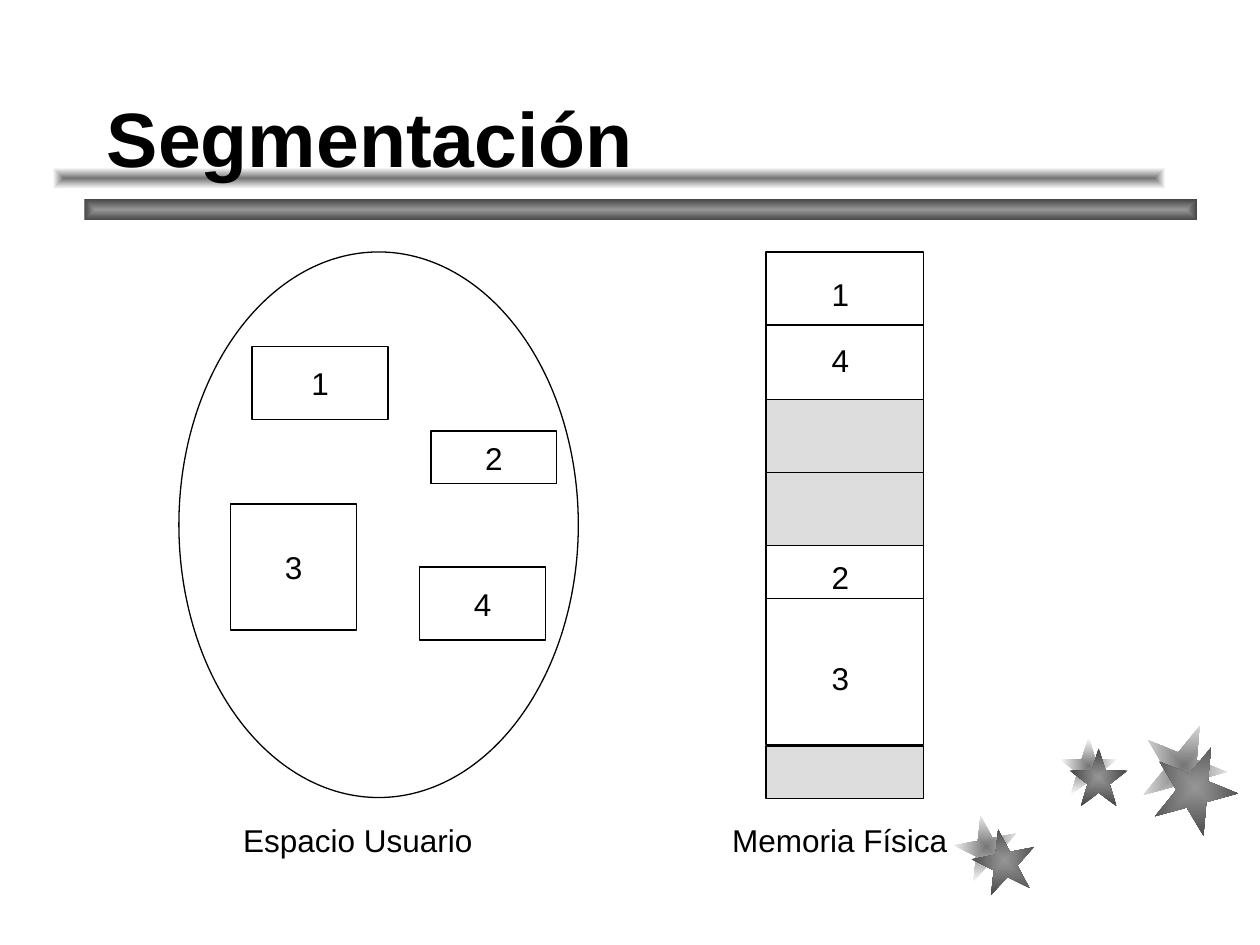
from lxml.etree import SubElement
from pptx import Presentation
from pptx.dml.color import RGBColor
from pptx.enum.shapes import MSO_CONNECTOR, MSO_SHAPE
from pptx.enum.text import MSO_ANCHOR, PP_ALIGN
from pptx.oxml import parse_xml
from pptx.oxml.ns import nsdecls, qn
from pptx.util import Inches, Pt

COLOURS = {"ink": "000000", "paper": "FFFFFF", "free": "DDDDDD"}
GRADIENTS = {"light": ("757575", "FFFFFF"), "dark": ("969696", "454545")}
BODY = {"name": "Arial", "size": Pt(18), "bold": False}
HEADING = {"name": "Arial", "size": Pt(44), "bold": True}


def colour(name):
    """Return the named colour."""
    return RGBColor.from_string(COLOURS[name])


def write(box, text, font=BODY, align=PP_ALIGN.CENTER, anchor=MSO_ANCHOR.MIDDLE, wrap=False):
    """Put formatted text into a shape."""
    frame = box.text_frame
    frame.word_wrap = wrap
    frame.vertical_anchor = anchor
    para = frame.paragraphs[0]
    para.alignment = align
    span = para.add_run()
    span.text = text
    for key, value in font.items():
        setattr(span.font, key, value)
    span.font.color.rgb = colour("ink")


def add_label(page, left, top, width, height, text, **format_values):
    """Add a text box."""
    box = page.shapes.add_textbox(Inches(left), Inches(top), Inches(width), Inches(height))
    write(box, text, **format_values)


def add_outlined(page, kind, left, top, width, height, fill="paper"):
    """Add a filled shape with a thin outline."""
    box = page.shapes.add_shape(kind, Inches(left), Inches(top), Inches(width), Inches(height))
    box.shadow.inherit = False
    box.fill.solid()
    box.fill.fore_color.rgb = colour(fill)
    box.line.color.rgb = colour("ink")
    box.line.width = Pt(0.75)
    return box


def add_glowing(page, kind, left, top, width, height, gradient, rotation=0):
    """Add an unlined shape whose gradient spreads from its centre."""
    box = page.shapes.add_shape(kind, Inches(left), Inches(top), Inches(width), Inches(height))
    box.shadow.inherit = False
    box.rotation = rotation
    box.line.fill.background()
    box.fill.gradient()
    for stop, shade, position in zip(box.fill.gradient_stops, GRADIENTS[gradient], (0, 1)):
        stop.color.rgb = RGBColor.from_string(shade)
        stop.position = position
    gradient_fill = box.fill._xPr.find(qn("a:gradFill"))
    gradient_fill.replace(gradient_fill.find(qn("a:lin")), parse_xml(
        f'<a:path {nsdecls("a")} path="rect">'
        '<a:fillToRect l="50000" t="50000" r="50000" b="50000"/></a:path>'))


def add_divider(page, left, top, width):
    """Add a thin horizontal line."""
    line = page.shapes.add_connector(
        MSO_CONNECTOR.STRAIGHT, Inches(left), Inches(top), Inches(left + width), Inches(top))
    line.line.color.rgb = colour("ink")
    line.line.width = Pt(0.75)
    SubElement(line._element.spPr, qn("a:effectLst"))


def add_stars(page, left, top):
    """Scatter three stars, each above its lighter echo."""
    layers = {
        "light": ((0, 0.73), (0.83, 0.11), (1.48, 0)),
        "dark": ((0.14, 0.84), (0.91, 0.2), (1.57, 0.17)),
    }
    for gradient, places in layers.items():
        for (x, y), size, rotation in zip(places, (0.5, 0.46, 0.67), (349, 0, 22)):
            add_glowing(page, MSO_SHAPE.STAR_5_POINT, left + x, top + y, size, size,
                        gradient, rotation)


def add_header(page, left, top, width):
    """Add the two bars and the title."""
    for x, y, gradient in ((0.25, 1.33, "dark"), (0, 1.08, "light")):
        add_glowing(page, MSO_SHAPE.RECTANGLE, left + x, top + y, width, 0.17, gradient)
    add_label(page, left + 0.33, top, 8.5, 1.25, "Segmentación", font=HEADING,
              align=PP_ALIGN.LEFT, anchor=MSO_ANCHOR.BOTTOM, wrap=True)


def add_user_space(page, left, top, width, height):
    """Draw the user space with its loose segments."""
    add_outlined(page, MSO_SHAPE.OVAL, left, top, width, height)
    segments = (
        ("1", 0.58, 0.75, 1.08, 0.58),
        ("3", 0.41, 2, 1, 1),
        ("2", 2, 1.42, 1, 0.42),
        ("4", 1.91, 2.5, 1, 0.58),
    )
    for name, x, y, segment_width, segment_height in segments:
        segment = add_outlined(page, MSO_SHAPE.RECTANGLE, left + x, top + y,
                               segment_width, segment_height)
        write(segment, name)
    add_label(page, left + 0.41, top + 4.47, 2.09, 0.4, "Espacio Usuario ")


def add_physical_memory(page, left, top, width):
    """Draw the memory column with its placed segments."""
    blocks = ((0, 1.17, "paper"), (1.17, 1.17, "free"), (2.33, 1.58, "paper"), (3.92, 0.42, "free"))
    for y, height, fill in blocks:
        add_outlined(page, MSO_SHAPE.RECTANGLE, left, top + y, width, height, fill)
    for y in (0.58, 1.75, 2.75):
        add_divider(page, left, top + y, width)
    for name, y in (("1", 0.13), ("4", 0.66), ("2", 2.38), ("3", 3.18)):
        add_label(page, left + 0.42, top + y, 0.34, 0.4, name)
    add_label(page, left - 0.37, top + 4.47, 1.91, 0.4, "Memoria Física")


def main():
    """Build the slide and save it."""
    deck = Presentation()
    deck.slide_width, deck.slide_height = Inches(10), Inches(7.5)
    page = deck.slides.add_slide(deck.slide_layouts[6])
    add_stars(page, 7.58, 5.74)
    add_header(page, 0.42, 0.25, 8.83)
    add_user_space(page, 1.42, 2, 3.17, 4.33)
    add_physical_memory(page, 6.08, 2, 1.25)
    deck.save("out.pptx")


if __name__ == "__main__":
    main()
